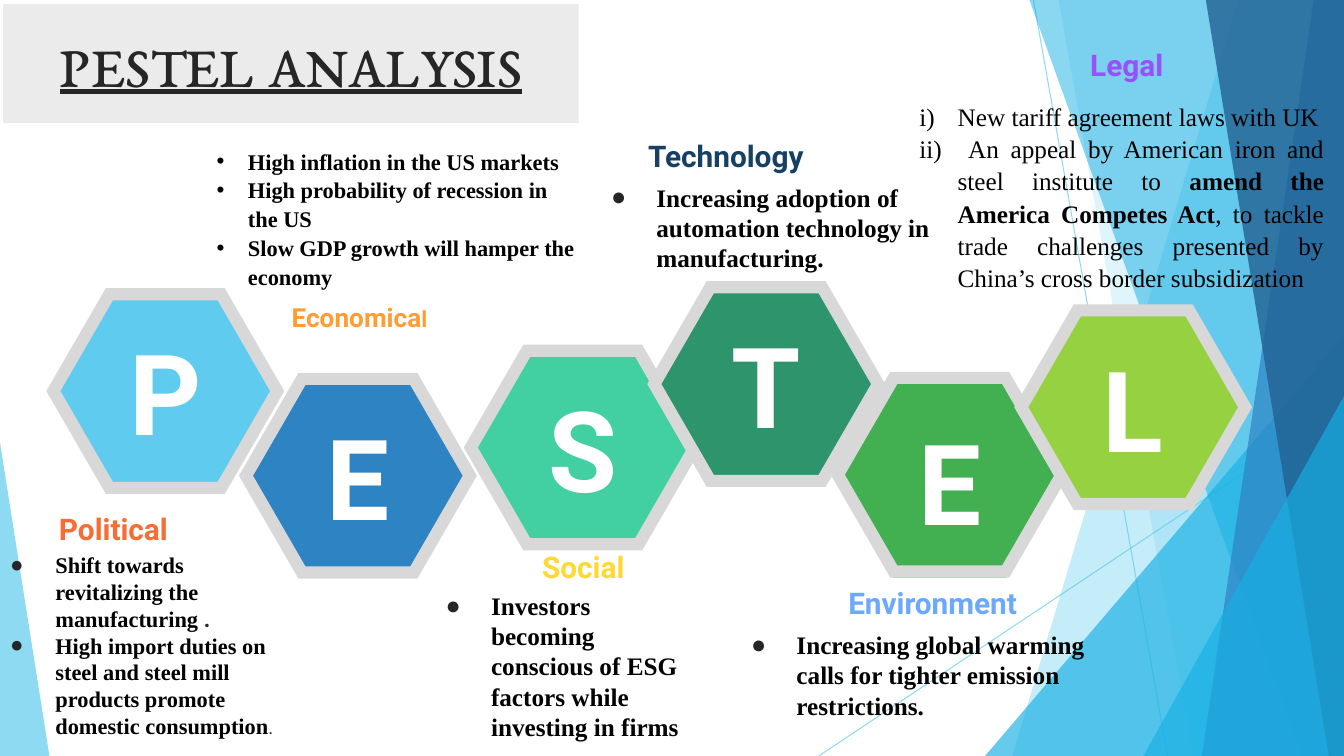
from lxml import etree
from pptx import Presentation
from pptx.dml.color import RGBColor
from pptx.enum.shapes import MSO_CONNECTOR, MSO_SHAPE
from pptx.enum.text import MSO_ANCHOR, MSO_AUTO_SIZE, PP_ALIGN
from pptx.oxml.ns import qn
from pptx.util import Inches, Pt

STRAIGHT = MSO_CONNECTOR.STRAIGHT
TRIANGLE = MSO_SHAPE.ISOSCELES_TRIANGLE
MIDDLE, TOP = MSO_ANCHOR.MIDDLE, MSO_ANCHOR.TOP
FIT_SHAPE, NO_FIT = MSO_AUTO_SIZE.SHAPE_TO_FIT_TEXT, MSO_AUTO_SIZE.NONE
LEFT, CENTER, JUSTIFY = PP_ALIGN.LEFT, PP_ALIGN.CENTER, PP_ALIGN.JUSTIFY

COLORS = {
    "white": "FFFFFF", "black": "000000", "ink": "262626", "panel": "EBEBEB",
    "ring": "D8D8D8", "sky": "5FCBEF", "cyan": "17B0E4", "blue": "2E83C3",
    "navy": "226292", "mint": "42D0A2", "pine": "2E946B", "green": "42B051",
    "lime": "96D141", "orange": "FF9C34", "midnight": "174162",
    "violet": "994FFE", "coral": "F86D34", "yellow": "FED933",
    "azure": "6CA9FE",
}
SERIF, SANS, DISPLAY = "Times New Roman", "Roboto", "EB Garamond"

# Half width, half flat edge and half height of each hexagon
TILE = (1.11, 0.56, 0.96)
RING_OUTER = (1.18, 0.59, 1.02)
RING_INNER = (1.04, 0.52, 0.9)


def hexagon(center_x, center_y, size):
    half, flat, rise = size
    offsets = [(-half, 0), (-flat, -rise), (flat, -rise),
               (half, 0), (flat, rise), (-flat, rise)]
    return [(center_x + x, center_y + y) for x, y in offsets]


class PestelPage:
    def __init__(self, deck):
        self.page = deck.slides.add_slide(deck.slide_layouts[5])
        self.shapes = self.page.shapes

    def color(self, name):
        return RGBColor.from_string(COLORS[name])

    def fade(self, fill, opacity):
        holder = fill._xPr.find(qn("a:solidFill"))
        etree.SubElement(holder[0], qn("a:alpha"), val=str(opacity * 1000))

    def paint(self, shape, color, opacity=100):
        shape.shadow.inherit = False
        shape.fill.solid()
        shape.fill.fore_color.rgb = self.color(color)
        shape.line.fill.background()
        if opacity < 100:
            self.fade(shape.fill, opacity)
        return shape

    def line(self, start, end):
        ends = [Inches(value) for value in (*start, *end)]
        line = self.shapes.add_connector(STRAIGHT, *ends)
        line.line.width = Pt(0.75)
        line.line.color.rgb = self.color("sky")
        self.fade(line.line.fill, 70)
        etree.SubElement(line._element.spPr, qn("a:effectLst"))

    def triangle(self, box, tip, color, opacity):
        shape = self.shapes.add_shape(TRIANGLE, *map(Inches, box))
        shape.adjustments[0] = tip
        self.paint(shape, color, opacity)

    def polygon(self, outlines, color, opacity=100):
        outlines = [[(Inches(x), Inches(y)) for x, y in outline]
                    for outline in outlines]
        builder = self.shapes.build_freeform(*outlines[0][0])
        builder.add_line_segments(outlines[0][1:], close=True)
        for outline in outlines[1:]:
            builder.move_to(*outline[0])
            builder.add_line_segments(outline[1:], close=True)
        return self.paint(builder.convert_to_shape(), color, opacity)

    def style(self, font, size, color, face=SANS, bold=True):
        font.name, font.size, font.bold = face, Pt(size), bold
        font.color.rgb = self.color(color)

    def frame(self, shape, insets=(0, 0), anchor=MIDDLE, fit=FIT_SHAPE):
        frame = shape.text_frame
        frame.word_wrap, frame.auto_size = True, fit
        frame.vertical_anchor = anchor
        frame.margin_left = frame.margin_right = Inches(insets[0])
        frame.margin_top = frame.margin_bottom = Inches(insets[1])
        return frame

    def title(self, text, box):
        shape = self.shapes.title
        shape.left, shape.top, shape.width, shape.height = map(Inches, box)
        shape.fill.solid()
        shape.fill.fore_color.rgb = self.color("panel")
        para = self.frame(shape, fit=NO_FIT).paragraphs[0]
        para.text, para.alignment = text, CENTER
        self.style(para.font, 42.7, "ink", DISPLAY, False)
        para.font.underline = True

    def tile(self, letter, center_x, center_y, color, drop=0):
        shape = self.polygon([hexagon(center_x, center_y + drop, TILE)], color)
        para = self.frame(shape, (0.13, 0.07), fit=NO_FIT).paragraphs[0]
        para.text, para.alignment = letter, CENTER
        self.style(para.font, 80, "white")
        hole = hexagon(center_x, center_y, RING_INNER)[::-1]
        self.polygon([hexagon(center_x, center_y, RING_OUTER), hole], "ring")

    def add_spans(self, para, spans, size, color, face, bold):
        if len(spans) == 1:
            para.text = spans[0][0]
            self.style(para.font, size, color, face, bold)
            return
        for text, changes in spans:
            span = para.add_run()
            span.text = text
            look = {"size": size, "color": color, "face": face, "bold": bold}
            self.style(span.font, **{**look, **changes})

    def heading(self, spans, box, color, size=21.3):
        shape = self.shapes.add_textbox(*map(Inches, box))
        para = self.frame(shape).paragraphs[0]
        para.alignment = CENTER
        self.add_spans(para, spans, size, color, SANS, True)

    def bullet(self, para, mark, color, indent, hanging):
        props = para._p.get_or_add_pPr()
        props.set("marL", str(Inches(indent)))
        props.set("indent", str(-Inches(hanging)))
        tint = etree.SubElement(props, qn("a:buClr"))
        etree.SubElement(tint, qn("a:srgbClr"), val=COLORS[color])
        if mark == "i)":
            etree.SubElement(props, qn("a:buAutoNum"), type="romanLcParenR")
        else:
            etree.SubElement(props, qn("a:buFont"), typeface="Arial")
            etree.SubElement(props, qn("a:buChar"), char=mark)

    def points(self, items, box, size=18, mark="●", mark_color="ink",
               indent=0.67, hanging=0.45, spacing=None, bold=True,
               align=LEFT, insets=(0, 0), anchor=MIDDLE):
        shape = self.shapes.add_textbox(*map(Inches, box))
        frame = self.frame(shape, insets, anchor)
        for index, spans in enumerate(items):
            para = frame.add_paragraph() if index else frame.paragraphs[0]
            self.bullet(para, mark, mark_color, indent, hanging)
            para.alignment, para.line_spacing = align, spacing
            self.add_spans(para, spans, size, "black", SERIF, bold)


def main():
    deck = Presentation()
    deck.slide_width, deck.slide_height = Inches(13.33), Inches(7.5)
    page = PestelPage(deck)

    # Faceted background: top left, bottom left, colour, opacity
    page.line((10.25, 0), (11.58, 7.5))
    page.line((13.33, 4.03), (8.12, 7.5))

    def facet(top, bottom, color, opacity):
        corners = [(top, 0), (13.33, 0), (13.33, 7.5), (bottom, 7.5)]
        page.polygon([corners], color, opacity)

    facet(12.28, 10.04, "sky", 36)
    facet(10.5, 11.83, "sky", 20)
    page.triangle((9.77, 3.33, 3.56, 4.17), 1, "cyan", 66)
    facet(10.21, 12.91, "cyan", 50)
    facet(13.03, 11.92, "blue", 70)
    facet(11.96, 13.18, "navy", 80)
    page.triangle((11.34, 3.93, 1.99, 3.57), 1, "cyan", 66)
    page.triangle((0, 4.39, 0.49, 3.11), 0, "sky", 70)

    # Title and letter tiles
    page.title("PESTEL ANALYSIS", (0.03, 0.04, 5.71, 1.18))
    page.tile("P", 1.64, 3.88, "sky")
    page.tile("E", 3.55, 4.72, "blue")
    page.tile("S", 5.78, 4.44, "mint")
    page.tile("T", 7.6, 3.81, "pine")
    page.tile("E", 9.42, 4.71, "green", drop=0.06)
    page.tile("L", 11.24, 4.04, "lime")

    # Headings
    page.heading([("Economica", {}), ("l", {"size": 16})],
                 (2.52, 2.99, 2.09, 0.31), "orange", 18.7)
    for text, left, top, width, color in [
            ("Technology ", 6.19, 1.36, 2.09, "midnight"),
            ("Legal", 10.13, 0.46, 2.09, "violet"),
            ("Political", 0.08, 5.06, 2.09, "coral"),
            ("Social", 4.74, 5.44, 2.09, "yellow"),
            ("Environment", 8.02, 5.8, 2.46, "azure")]:
        page.heading([(text, {})], (left, top, width, 0.36), color)

    # Lists
    page.points([[("High inflation in the US markets", {})],
                 [("High probability of recession in the US", {})],
                 [("Slow GDP growth will hamper the economy", {})]],
                (2.15, 1.44, 3.57, 1.44), 16, "•", "black", 0.31, 0.31, 1.07)
    page.points([[("Increasing adoption of automation technology in manufacturing.", {})]],
                (5.84, 1.8, 3.81, 0.91))
    stop = {"face": SANS, "color": "ink"}
    page.points([[("Shift towards revitalizing the manufacturing ", {}), (".", stop)],
                 [("High import duties on steel and steel mill products promote "
                   "domestic consumption", {}),
                  (".", {**stop, "size": 13.3, "bold": False})]],
                (-0.12, 5.46, 2.93, 1.88), 16)
    page.points([[("Investors becoming conscious of ESG factors while investing in firms", {})]],
                (4.2, 5.85, 2.71, 1.51))
    page.points([[("Increasing global warming calls for tighter emission restrictions.", {})]],
                (7.23, 6.24, 3.53, 0.91))
    page.points([[("New tariff agreement laws with UK", {})],
                 [(" An appeal by American iron and steel institute to ", {}),
                  ("amend the America Competes Act", {"bold": True}),
                  (", to tackle trade challenges presented by China’s cross "
                   "border subsidization", {})]],
                (9.02, 0.93, 4.21, 2.29), 18, "i)", "black", 0.38, 0.38, 1.07,
                False, JUSTIFY, (0.1, 0.05), TOP)

    deck.save("out.pptx")


if __name__ == "__main__":
    main()
